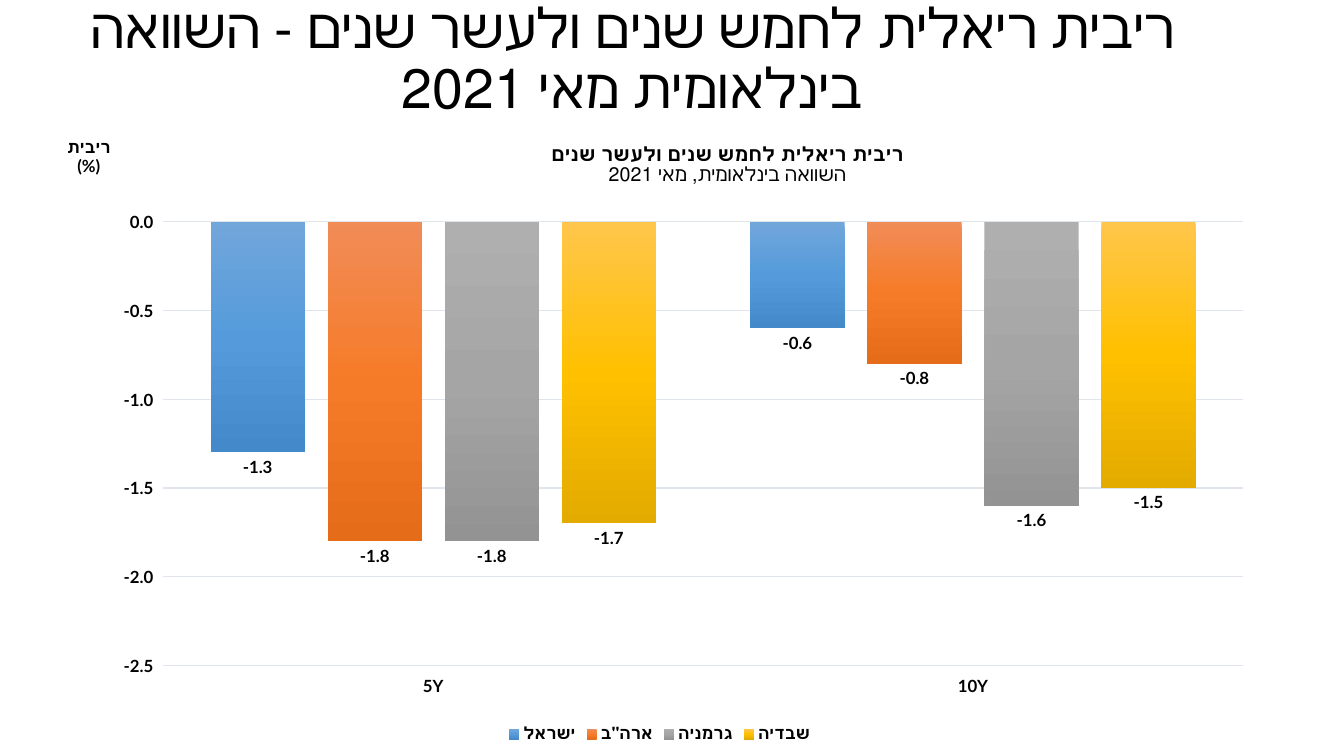
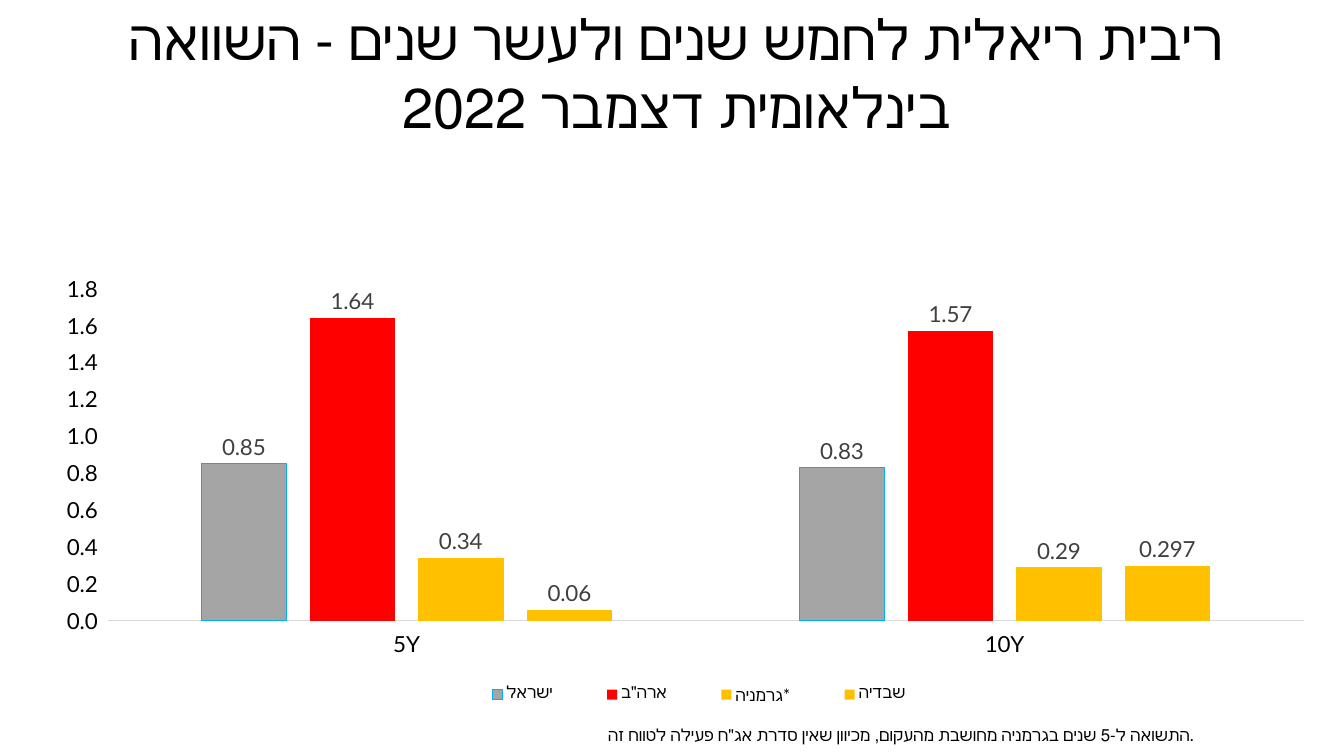
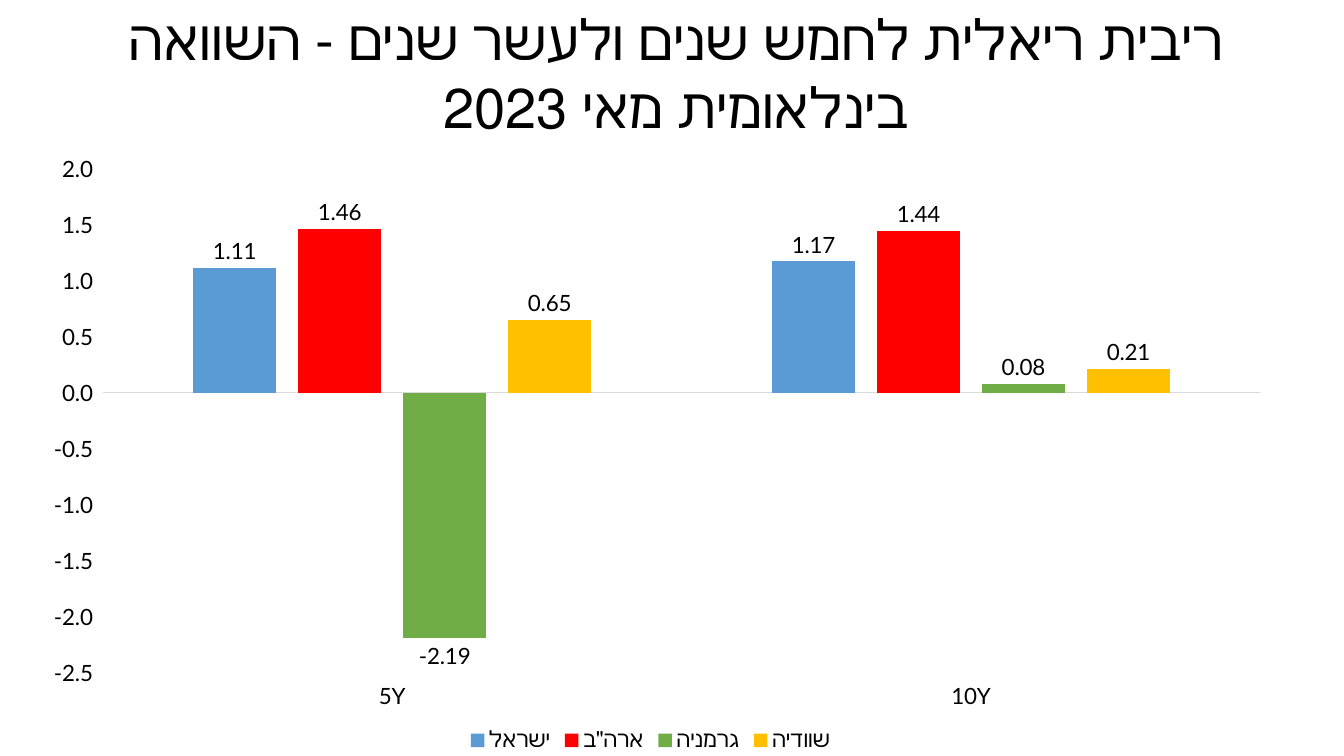
from dataclasses import dataclass
from typing import Optional

from pptx import Presentation
from pptx.chart.data import CategoryChartData
from pptx.dml.color import RGBColor
from pptx.enum.chart import XL_CHART_TYPE as ChartType
from pptx.enum.chart import XL_LABEL_POSITION as LabelPosition
from pptx.enum.chart import XL_LEGEND_POSITION as LegendPosition
from pptx.enum.chart import XL_TICK_LABEL_POSITION as TickLabels
from pptx.enum.chart import XL_TICK_MARK as TickMark
from pptx.enum.text import MSO_ANCHOR as Anchor
from pptx.enum.text import PP_ALIGN as Align
from pptx.oxml import parse_xml
from pptx.oxml.ns import nsdecls, qn
from pptx.util import Cm, Pt

# Shared style
COLORS = {
    "text": "000000", "label": "404040", "grid": "E0E5EB", "axis": "D9D9D9",
    "gray": "A5A5A5", "cyan": "00B0F0", "red": "FF0000", "gold": "FFC000",
    "blue": "5B9BD5", "green": "70AD47",
}
GRADIENTS = {
    "blue": ("71A6DB", "559BDB", "448ACA"),
    "orange": ("F18C57", "F67B28", "E56C19"),
    "gray": ("AFAFAF", "A5A5A5", "939393"),
    "gold": ("FFC64B", "FFC000", "E3AB00"),
}
TITLE_FONT, CHART_FONT = "Calibri", "Lato"
HEADING = "ריבית ריאלית לחמש שנים ולעשר שנים"
TERMS = ("5Y", "10Y")

Box = tuple[float, float, float, float]


@dataclass(frozen=True)
class Country:
    name: str
    rates: tuple[float, float]
    color: str
    label_format: str
    outline: Optional[str] = None
    gradient: bool = False


@dataclass(frozen=True)
class Caption:
    lines: tuple[str, ...]
    x: float
    y: float
    bold_lines: int = 0
    size: float = 12


@dataclass(frozen=True)
class RateSlide:
    month: str
    title_box: Box
    chart_box: Box
    plot_area: Box
    countries: tuple[Country, ...]
    scale: tuple[float, float, float]
    title_size: float = 40
    title_spacing: float = 1.0
    title_anchor: Anchor = Anchor.TOP
    title_in_front: bool = False
    size: float = 16
    legend_size: float = 16
    bold: bool = False
    gap: int = 219
    overlap: int = -27
    gridlines: bool = False
    label_color: str = "text"
    axis_color: str = "axis"
    legend_area: Optional[Box] = None
    chart_caption: Optional[Caption] = None
    value_caption: Optional[Caption] = None
    footnote: Optional[Caption] = None


def rgb(name: str) -> RGBColor:
    return RGBColor.from_string(COLORS[name])


def style_font(font, size: float, bold: bool = False, color: str = "text",
               name: str = CHART_FONT) -> None:
    font.size, font.bold, font.name = Pt(size), bold, name
    font.color.rgb = rgb(color)


def write_text(paragraph, text: str, *, size: float, bold: bool = False,
               font: str = CHART_FONT, align: Optional[Align] = None,
               rtl: bool = False, spacing: Optional[float] = None) -> None:
    run = paragraph.add_run()
    run.text = text
    style_font(run.font, size, bold, name=font)
    if align is not None:
        paragraph.alignment = align
    if spacing is not None:
        paragraph.line_spacing = spacing
    if rtl:
        paragraph._p.get_or_add_pPr().set("rtl", "1")


def place(part, area: tuple[float, ...], inner: bool = False) -> None:
    """Position a chart part by fractions of the chart: x, y and perhaps w, h."""
    for old in part.findall(qn("c:layout")):
        part.remove(old)
    keys = ("x", "y", "w", "h")[:len(area)]
    target = '<c:layoutTarget val="inner"/>' if inner else ""
    modes = "".join(f'<c:{key}Mode val="edge"/>' for key in keys[:2])
    values = "".join(f'<c:{key} val="{v}"/>' for key, v in zip(keys, area))
    layout = parse_xml(f'<c:layout {nsdecls("c")}><c:manualLayout>{target}{modes}'
                       f'{values}</c:manualLayout></c:layout>')
    leads = part[0].tag in (qn("c:tx"), qn("c:legendPos"))
    part.insert(1 if leads else 0, layout)


def add_caption(holder, caption: Caption) -> None:
    frame = holder.text_frame
    for i, line in enumerate(caption.lines):
        paragraph = frame.add_paragraph() if i else frame.paragraphs[0]
        write_text(paragraph, line, size=caption.size,
                   bold=i < caption.bold_lines, align=Align.CENTER)
    body = holder.element.find(".//" + qn("a:bodyPr"))
    body.set("rot", "0")
    body.set("vert", "horz")
    place(holder.element, (caption.x, caption.y))


def fill_gradient(bars, element, stops: tuple[str, ...]) -> None:
    bars.format.fill.gradient()
    bars.format.fill.gradient_angle = 270
    stop_list = element.find(".//" + qn("a:gsLst"))
    for old in list(stop_list):
        stop_list.remove(old)
    for i, color in enumerate(stops):
        stop_list.append(parse_xml(
            f'<a:gs {nsdecls("a")} pos="{i * 50000}"><a:srgbClr val="{color}"/></a:gs>'))


def style_countries(chart, page: RateSlide) -> None:
    plot = chart.plots[0]
    plot.gap_width, plot.overlap = page.gap, page.overlap
    plot.vary_by_categories = False
    elements = chart.element.iter(qn("c:ser"))
    for country, bars, element in zip(page.countries, plot.series, list(elements)):
        bars.invert_if_negative = False
        if country.gradient:
            fill_gradient(bars, element, GRADIENTS[country.color])
        else:
            bars.format.fill.solid()
            bars.format.fill.fore_color.rgb = rgb(country.color)
        if country.outline:
            bars.format.line.color.rgb = rgb(country.outline)
            bars.format.line.width = Pt(0.75)
        else:
            bars.format.line.fill.background()
        labels = bars.data_labels
        labels.show_value = True
        labels.position = LabelPosition.OUTSIDE_END
        labels.number_format = country.label_format
        labels.number_format_is_linked = False
        style_font(labels.font, page.size, page.bold, page.label_color)


def style_axes(chart, page: RateSlide) -> None:
    terms, rates = chart.category_axis, chart.value_axis
    for axis in (terms, rates):
        axis.major_tick_mark = axis.minor_tick_mark = TickMark.NONE
        axis.tick_label_position = TickLabels.LOW
        style_font(axis.tick_labels.font, page.size, page.bold)
    terms.format.line.color.rgb = rgb(page.axis_color)
    terms.format.line.width = Pt(0.75)
    rates.format.line.fill.background()
    rates.minimum_scale, rates.maximum_scale, rates.major_unit = page.scale
    rates.tick_labels.number_format = "0.0"
    rates.tick_labels.number_format_is_linked = False
    rates.has_major_gridlines = page.gridlines
    if page.gridlines:
        rates.major_gridlines.format.line.color.rgb = rgb("grid")
        rates.major_gridlines.format.line.width = Pt(0.75)
    if page.value_caption:
        add_caption(rates.axis_title, page.value_caption)
    if page.footnote:
        add_caption(terms.axis_title, page.footnote)


def add_rate_chart(slide, page: RateSlide) -> None:
    data = CategoryChartData()
    data.categories = TERMS
    for country in page.countries:
        data.add_series(country.name, country.rates)
    chart = slide.shapes.add_chart(
        ChartType.COLUMN_CLUSTERED, *map(Cm, page.chart_box), data).chart
    style_font(chart.font, page.size, page.bold)
    chart.has_title = page.chart_caption is not None
    if page.chart_caption:
        add_caption(chart.chart_title, page.chart_caption)
    style_countries(chart, page)
    style_axes(chart, page)
    # Legend and plot area
    chart.has_legend = True
    chart.legend.position = LegendPosition.BOTTOM
    chart.legend.include_in_layout = False
    style_font(chart.legend.font, page.legend_size, page.bold)
    if page.legend_area:
        place(next(chart.element.iter(qn("c:legend"))), page.legend_area)
    place(next(chart.element.iter(qn("c:plotArea"))), page.plot_area, inner=True)


def add_title(slide, page: RateSlide) -> None:
    frame = slide.shapes.add_textbox(*map(Cm, page.title_box)).text_frame
    frame.word_wrap = True
    frame.vertical_anchor = page.title_anchor
    write_text(frame.paragraphs[0], f"{HEADING} - השוואה בינלאומית {page.month}",
               size=page.title_size, font=TITLE_FONT, align=Align.CENTER,
               rtl=True, spacing=page.title_spacing)


# Content
TITLE_BOX = (0.71, 0, 32.66, 3.68)
PAGES = (
    RateSlide(
        "מאי 2021", (0.3, 0, 31.27, 3.07), (0.99, 3.07, 31.27, 15.75),
        (0.1, 0.16, 0.87, 0.71),
        (Country("ישראל", (-1.3, -0.6), "blue", "0.0", gradient=True),
         Country('ארה"ב', (-1.8, -0.8), "orange", "0.0", gradient=True),
         Country("גרמניה", (-1.8, -1.6), "gray", "0.0", gradient=True),
         Country("שבדיה", (-1.7, -1.5), "gold", "0.0", gradient=True)),
        (-2.5, 0, 0.5), title_size=39.6, title_spacing=0.9,
        title_anchor=Anchor.MIDDLE, size=12, legend_size=12, bold=True,
        gap=100, overlap=-24, gridlines=True, axis_color="grid",
        chart_caption=Caption((HEADING, "השוואה בינלאומית, מאי 2021"),
                              0.41, 0.03, bold_lines=1, size=14),
        value_caption=Caption(("ריבית", "(%)"), 0.02, 0.02, bold_lines=2)),
    RateSlide(
        "דצמבר 2022", TITLE_BOX, (0, 3.23, 33.87, 15.65),
        (0.08, 0.26, 0.89, 0.54),
        (Country("ישראל", (0.85, 0.83), "gray", "#,##0.00", outline="cyan"),
         Country('ארה"ב', (1.64, 1.57), "red", "#,##0.00"),
         Country("גרמניה*", (0.34, 0.29), "gold", "#,##0.00"),
         Country("שבדיה", (0.06, 0.297), "gold", "0.00#")),
        (0, 1.8, 0.2), title_in_front=True, legend_size=12, label_color="label",
        legend_area=(0.33, 0.89, 0.38, 0.06),
        footnote=Caption(("התשואה ל-5 שנים בגרמניה מחושבת מהעקום, "
                          'מכיוון שאין סדרת אג"ח פעילה לטווח זה.',), 0.45, 0.96)),
    RateSlide(
        "מאי 2023", TITLE_BOX, (0.71, 1.63, 31.37, 17.42),
        (0.06, 0.15, 0.93, 0.73),
        (Country("ישראל", (1.11, 1.17), "blue", "0.00"),
         Country('ארה"ב', (1.46, 1.44), "red", "0.00"),
         Country("גרמניה", (-2.19, 0.08), "green", "0.00"),
         Country("שוודיה", (0.65, 0.21), "gold", "0.00")),
        (-2.5, 2, 0.5)),
)


def main() -> None:
    deck = Presentation()
    deck.slide_width, deck.slide_height = Cm(33.87), Cm(19.05)
    for page in PAGES:
        slide = deck.slides.add_slide(deck.slide_layouts[6])
        parts = (add_title, add_rate_chart)
        for add_part in reversed(parts) if page.title_in_front else parts:
            add_part(slide, page)
    deck.save("out.pptx")


if __name__ == "__main__":
    main()
